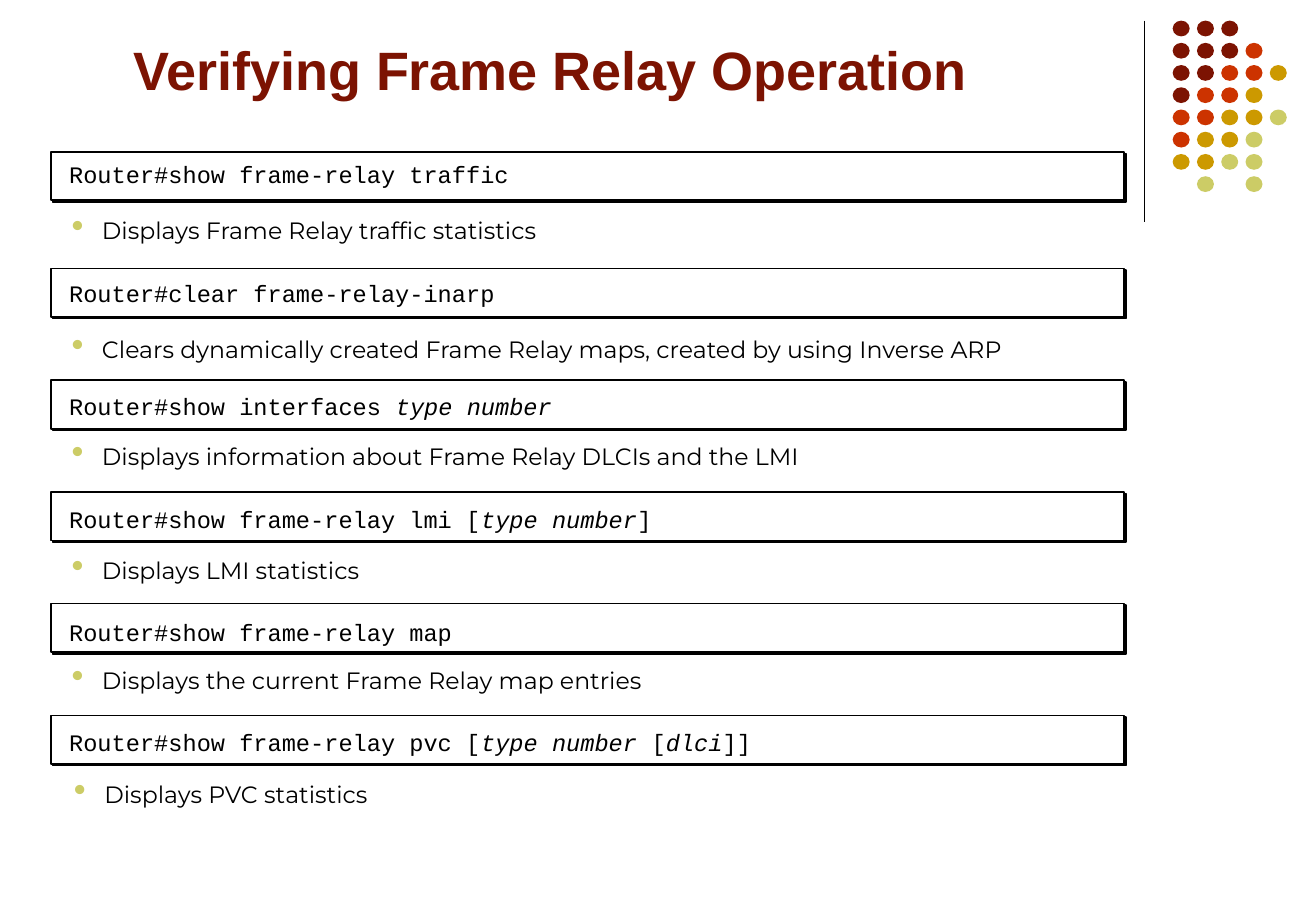
from dataclasses import dataclass

from lxml import etree
from pptx import Presentation
from pptx.dml.color import RGBColor
from pptx.enum.shapes import MSO_CONNECTOR, MSO_SHAPE
from pptx.oxml.ns import qn
from pptx.util import Inches, Pt

STRAIGHT = MSO_CONNECTOR.STRAIGHT
RECTANGLE, OVAL = MSO_SHAPE.RECTANGLE, MSO_SHAPE.OVAL


@dataclass(frozen=True)
class Theme:
    ink: str = "000000"
    paper: str = "FFFFFF"
    maroon: str = "7C1302"
    red: str = "CC3300"
    gold: str = "CC9900"
    olive: str = "CCCC66"
    title_font: str = "Arial"
    code_font: str = "Courier New"
    body_font: str = "Montserrat"
    title_size: int = 32
    body_size: int = 14


THEME = Theme()
SLIDE_SIZE = (10.84, 7.5)

# One letter per dot, a point where the grid is empty
DOT_ROWS = ["MMM..", "MMMR.", "MMRRG", "MRRG.", "RRGGO", "RGGO.", "GGOO.", ".O.O."]
DOT_COLOURS = {"M": THEME.maroon, "R": THEME.red, "G": THEME.gold, "O": THEME.olive}
DOT_PITCH = (0.2, 0.183)
DOT_SIZE = (0.14, 0.13)

# Bar top, command drop, description drop, command (italics between *), description
COMMANDS = [
    (1.25, 0.03, 0.49, "Router#show frame-relay traffic",
     "Displays Frame Relay traffic statistics"),
    (2.21, 0.05, 0.51, "Router#clear frame-relay-inarp",
     "Clears dynamically created Frame Relay maps, created by using Inverse ARP"),
    (3.13, 0.06, 0.47, "Router#show interfaces *type number*",
     "Displays information about Frame Relay DLCIs and the LMI"),
    (4.05, 0.07, 0.49, "Router#show frame-relay lmi [*type number*]",
     "Displays LMI statistics"),
    (4.97, 0.08, 0.47, "Router#show frame-relay map",
     "Displays the current Frame Relay map entries"),
    (5.89, 0.06, 0.49, "Router#show frame-relay pvc [*type number* [*dlci*]]",
     "Displays PVC statistics"),
]
BAR_LEFT, BAR_WIDTH, BAR_HEIGHT = 0.42, 8.84, 0.4


def colour(value):
    return RGBColor.from_string(value)


def inches(box):
    return [Inches(length) for length in box]


def add_child(parent, tag, **attributes):
    child = etree.SubElement(parent, qn(tag))
    for name, value in attributes.items():
        child.set(name, str(value))
    return child


def add_text(slide, box, text, font, size, ink, insets=(0.08, 0.04), bold=False):
    """Place one paragraph; parts between asterisks are italic."""
    frame = slide.shapes.add_textbox(*inches(box)).text_frame
    frame.word_wrap = True
    frame.margin_left = frame.margin_right = Inches(insets[0])
    frame.margin_top = frame.margin_bottom = Inches(insets[1])
    paragraph = frame.paragraphs[0]
    for index, part in enumerate(text.split("*")):
        if not part:
            continue
        run = paragraph.add_run()
        run.text = part
        run.font.name, run.font.size = font, Pt(size)
        run.font.color.rgb = colour(ink)
        run.font.bold, run.font.italic = bold, index % 2 == 1
    return paragraph


def add_bullet(paragraph):
    properties = paragraph._p.get_or_add_pPr()
    properties.set("marL", str(Inches(0.25)))
    properties.set("indent", str(-Inches(0.25)))
    add_child(add_child(properties, "a:buClr"), "a:srgbClr", val=THEME.olive)
    add_child(properties, "a:buSzPct", val=150000)
    add_child(properties, "a:buChar", char="•")


def add_hard_shadow(shape):
    shape.shadow.inherit = False
    effects = shape._element.spPr.find(qn("a:effectLst"))
    shadow = add_child(effects, "a:outerShdw", blurRad=0, dist=Pt(1.4),
                       dir=45 * 60000, algn="ctr", rotWithShape=0)
    add_child(shadow, "a:srgbClr", val=THEME.ink)


def draw_corner(slide, box):
    """Vertical rule at the left of the box, dot grid to its right."""
    left, top, grid_indent, height = box
    rule = slide.shapes.add_connector(
        STRAIGHT, *inches((left, top, left, top + height)))
    rule.line.color.rgb = colour(THEME.ink)
    rule.line.width = Pt(0.75)
    add_child(rule._element.spPr, "a:effectLst")

    for row, letters in enumerate(DOT_ROWS):
        for column, letter in enumerate(letters):
            if letter == ".":
                continue
            place = (left + grid_indent + column * DOT_PITCH[0],
                     top + row * DOT_PITCH[1])
            dot = slide.shapes.add_shape(OVAL, *inches(place + DOT_SIZE))
            dot.shadow.inherit = False
            dot.fill.solid()
            dot.fill.fore_color.rgb = colour(DOT_COLOURS[letter])
            dot.line.fill.background()


def draw_command(slide, box, command_drop, description_drop, command, description):
    """Framed command with its bulleted description below."""
    left, top, width, height = box
    bar = slide.shapes.add_shape(RECTANGLE, *inches(box))
    bar.fill.solid()
    bar.fill.fore_color.rgb = colour(THEME.paper)
    bar.line.color.rgb = colour(THEME.ink)
    bar.line.width = Pt(1)
    add_hard_shadow(bar)

    add_text(slide, (left + 0.07, top + command_drop, width - 0.07, height),
             command, THEME.code_font, THEME.body_size, THEME.ink)
    bullet_left = left + (0.11 if command is COMMANDS[-1][3] else 0.09)
    add_bullet(add_text(slide, (bullet_left, top + description_drop, width, height),
                        description, THEME.body_font, THEME.body_size, THEME.ink))


def main():
    deck = Presentation()
    deck.slide_width, deck.slide_height = inches(SLIDE_SIZE)
    slide = deck.slides.add_slide(deck.slide_layouts[6])

    draw_corner(slide, (9.43, 0.17, 0.23, 1.66))
    add_text(slide, (1, 0.25, 7.58, 0.64), "Verifying Frame Relay Operation",
             THEME.title_font, THEME.title_size, THEME.maroon, (0.1, 0.05), bold=True)
    for top, *details in COMMANDS:
        draw_command(slide, (BAR_LEFT, top, BAR_WIDTH, BAR_HEIGHT), *details)

    deck.save("out.pptx")


if __name__ == "__main__":
    main()
